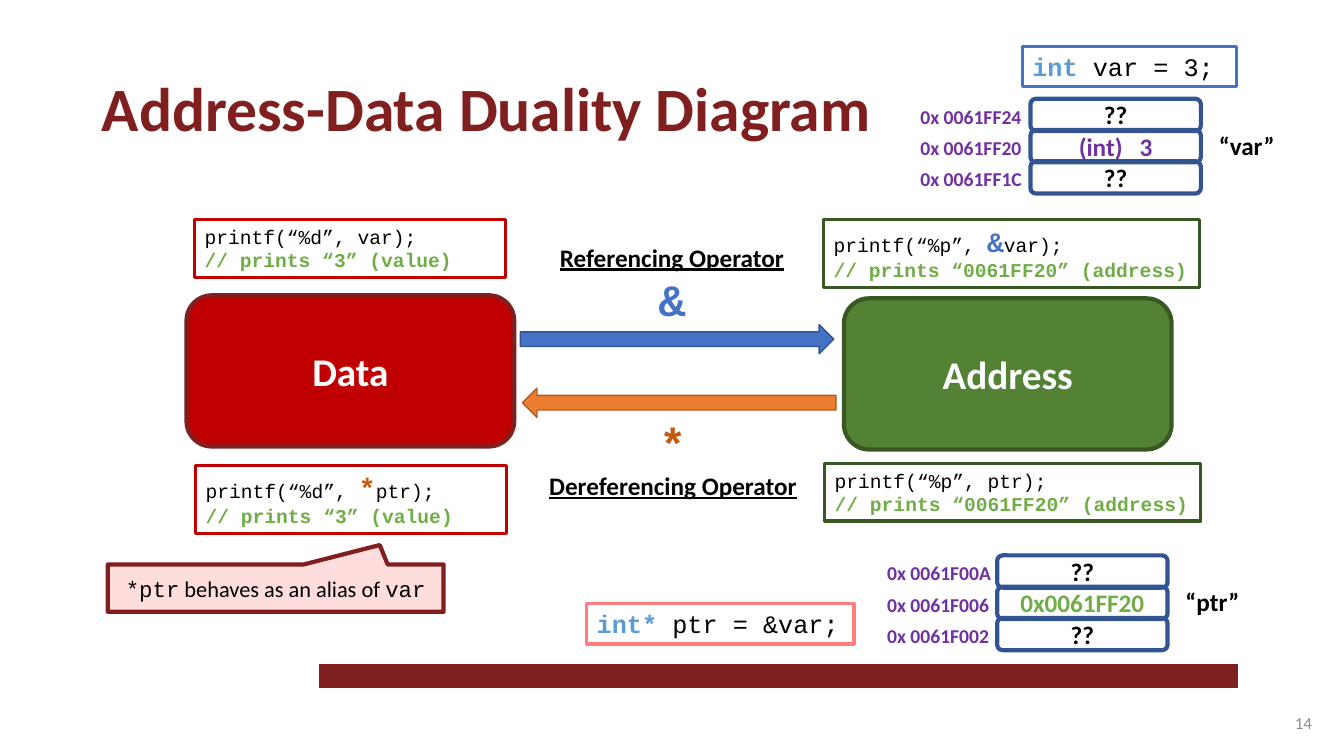
from pptx import Presentation
from pptx.dml.color import RGBColor
from pptx.enum.shapes import MSO_SHAPE as G
from pptx.enum.text import MSO_ANCHOR, MSO_AUTO_SIZE, PP_ALIGN
from pptx.util import Inches, Pt

MAROON = RGBColor(0x7F, 0x1F, 0x1F)
RED = RGBColor(0xC0, 0x00, 0x00)
PINK = RGBColor(0xFF, 0x7D, 0x7D)
PALE_PINK = RGBColor(0xFF, 0xDD, 0xDD)
BLUE = RGBColor(0x44, 0x72, 0xC4)
NAVY = RGBColor(0x32, 0x54, 0x91)
SKY = RGBColor(0x5B, 0x9B, 0xD5)
ORANGE = RGBColor(0xED, 0x7D, 0x31)
RUST = RGBColor(0xC5, 0x5A, 0x11)
BROWN = RGBColor(0xAF, 0x5C, 0x24)
GREEN = RGBColor(0x54, 0x82, 0x35)
DARK_GREEN = RGBColor(0x38, 0x57, 0x23)
LIME = RGBColor(0x70, 0xAD, 0x47)
PURPLE = RGBColor(0x70, 0x30, 0xA0)
GREY = RGBColor(0x8C, 0x8C, 0x8C)
BLACK = RGBColor(0, 0, 0)
WHITE = RGBColor(0xFF, 0xFF, 0xFF)
SANS, MONO = "Calibri", "Courier New"


def run(text, size, color=BLACK, font=SANS, bold=False, underline=False):
    return text, size, color, font, bold, underline


def code(text, size=14, color=BLACK, bold=False):
    return run(text, size, color, MONO, bold)


# Content: each text is a list of paragraphs, each paragraph a list of runs
TITLE = [[run("Address-Data Duality Diagram", 44, MAROON, bold=True)]]
PAGE = [[run("14", 12, GREY)]]

PRINTS_VALUE = [code("// prints “3” (value)", color=LIME, bold=True)]
PRINTS_ADDRESS = [code("// prints “0061FF20” (address)", color=LIME, bold=True)]
CODE_BOXES = [  # left, top, width, height, border, text
    (10.14, 0.46, 2.12, 0.4, BLUE,
     [[code("int ", 18, SKY, True), code("var = 3;", 18)]]),
    (5.82, 5.99, 2.65, 0.4, PINK,
     [[code("int* ", 18, SKY, True), code("ptr = &var;", 18)]]),
    (1.93, 2.18, 3.08, 0.57, RED,
     [[code("printf(“%d”, var);")], PRINTS_VALUE]),
    (8.17, 2.18, 3.73, 0.67, DARK_GREEN,
     [[code("printf(“%p”, "), code("&", 20, BLUE, True), code("var);")],
      PRINTS_ADDRESS]),
    (8.18, 4.6, 3.73, 0.57, DARK_GREEN,
     [[code("printf(“%p”, ptr);")], PRINTS_ADDRESS]),
    (1.94, 4.62, 3.08, 0.67, RED,
     [[code("printf(“%d”, "), code("*", 20, RUST, True), code("ptr);")],
      PRINTS_VALUE]),
]
BLOCKS = [  # left, top, name, fill, border
    (1.85, 2.93, "Data", RED, MAROON),
    (8.37, 2.96, "Address", GREEN, DARK_GREEN),
]
ARROWS = [  # left, top, rotation, fill, border
    (5.16, 3.22, 0, BLUE, NAVY),
    (5.18, 3.85, 180, ORANGE, BROWN),
]
OPERATORS = [  # left, top, text
    (5.15, 2.35, [[run("Referencing Operator", 18, bold=True, underline=True)],
                  [code("&", 32, BLUE, True)]]),
    (5.16, 4.08, [[code("*", 32, RUST, True)],
                  [run("Dereferencing Operator", 18, bold=True, underline=True)]]),
]
MEMORY = [  # left, top, variable, rows of (address, value, value colour)
    (9.03, 0.98, "“var”", [("0x 0061FF24", "??", BLACK),
                           ("0x 0061FF20", "(int)   3", PURPLE),
                           ("0x 0061FF1C", "??", BLACK)]),
    (8.7, 5.51, "“ptr”", [("0x 0061F00A", "??", BLACK),
                          ("0x 0061F006", "0x0061FF20", LIME),
                          ("0x 0061F002", "??", BLACK)]),
]
CALLOUT = [[code("*ptr", 16), run(" behaves as an alias of ", 16), code("var", 16)]]
ROW_STEP = 0.31
CELL_OFFSET = 1.19
NAME_OFFSET = 2.96


def write(sp, paragraphs, align=PP_ALIGN.LEFT, anchor=MSO_ANCHOR.TOP):
    tf = sp.text_frame
    tf.word_wrap = True
    tf.auto_size = MSO_AUTO_SIZE.NONE
    tf.vertical_anchor = anchor
    for i, runs in enumerate(paragraphs):
        p = tf.add_paragraph() if i else tf.paragraphs[0]
        p.alignment = align
        for text, size, color, font, bold, underline in runs:
            r = p.add_run()
            r.text = text
            r.font.size = Pt(size)
            r.font.name = font
            r.font.bold = bold
            r.font.underline = underline
            r.font.color.rgb = color


def add_text(s, box, paragraphs, **layout):
    sp = s.shapes.add_textbox(*map(Inches, box))
    write(sp, paragraphs, **layout)


def add_shape(s, kind, box, fill, border, weight):
    """Add a flat preset shape; a fill of None leaves it hollow."""
    sp = s.shapes.add_shape(kind, *map(Inches, box))
    sp.shadow.inherit = False
    if fill is None:
        sp.fill.background()
    else:
        sp.fill.solid()
        sp.fill.fore_color.rgb = fill
    sp.line.color.rgb = border
    sp.line.width = Pt(weight)
    return sp


def add_memory(s, left, top, variable, rows):
    for i, (address, value, color) in enumerate(rows):
        y = top + i * ROW_STEP
        cell = add_shape(s, G.ROUNDED_RECTANGLE,
                         (left + CELL_OFFSET, y, 1.69, 0.32), None, NAVY, 3)
        write(cell, [[run(value, 18, color, bold=True)]],
              PP_ALIGN.CENTER, MSO_ANCHOR.MIDDLE)
        add_text(s, (left, y + 0.01, 1.27, 0.34),
                 [[run(address, 14, PURPLE, bold=True)]])
    add_text(s, (left + NAME_OFFSET, top + 0.26, 0.76, 0.4),
             [[run(variable, 18, bold=True)]])


def main():
    prs = Presentation()
    prs.slide_width, prs.slide_height = Inches(13.33), Inches(7.5)
    s = prs.slides.add_slide(prs.slide_layouts[5])

    title = s.shapes.title
    title.left, title.top, title.width, title.height = map(
        Inches, (0.91, 0.64, 10.9, 0.84))
    write(title, TITLE)

    add_shape(s, G.RECTANGLE, (3.17, 6.59, 9.1, 0.23), MAROON, MAROON, 1)
    add_text(s, (10.11, 6.97, 3, 0.4), PAGE,
             align=PP_ALIGN.RIGHT, anchor=MSO_ANCHOR.MIDDLE)

    for left, top, name, fill, border in BLOCKS:
        block = add_shape(s, G.ROUNDED_RECTANGLE, (left, top, 3.25, 1.5),
                          fill, border, 3)
        write(block, [[run(name, 28, WHITE, bold=True)]],
              PP_ALIGN.CENTER, MSO_ANCHOR.MIDDLE)

    for left, top, rotation, fill, border in ARROWS:
        arrow = add_shape(s, G.RIGHT_ARROW, (left, top, 3.11, 0.29), fill, border, 1)
        arrow.rotation = rotation

    for left, top, label in OPERATORS:
        add_text(s, (left, top, 3.03, 0.94), label, align=PP_ALIGN.CENTER)

    for *box, border, lines in CODE_BOXES:
        write(add_shape(s, G.RECTANGLE, box, WHITE, border, 2.25), lines)

    for left, top, variable, rows in MEMORY:
        add_memory(s, left, top, variable, rows)

    callout = add_shape(s, G.RECTANGULAR_CALLOUT, (1.07, 5.6, 3.33, 0.47),
                        PALE_PINK, MAROON, 3)
    callout.adjustments[0], callout.adjustments[1] = 0.31, -0.91
    write(callout, CALLOUT, PP_ALIGN.CENTER, MSO_ANCHOR.MIDDLE)

    prs.save("out.pptx")


if __name__ == "__main__":
    main()
